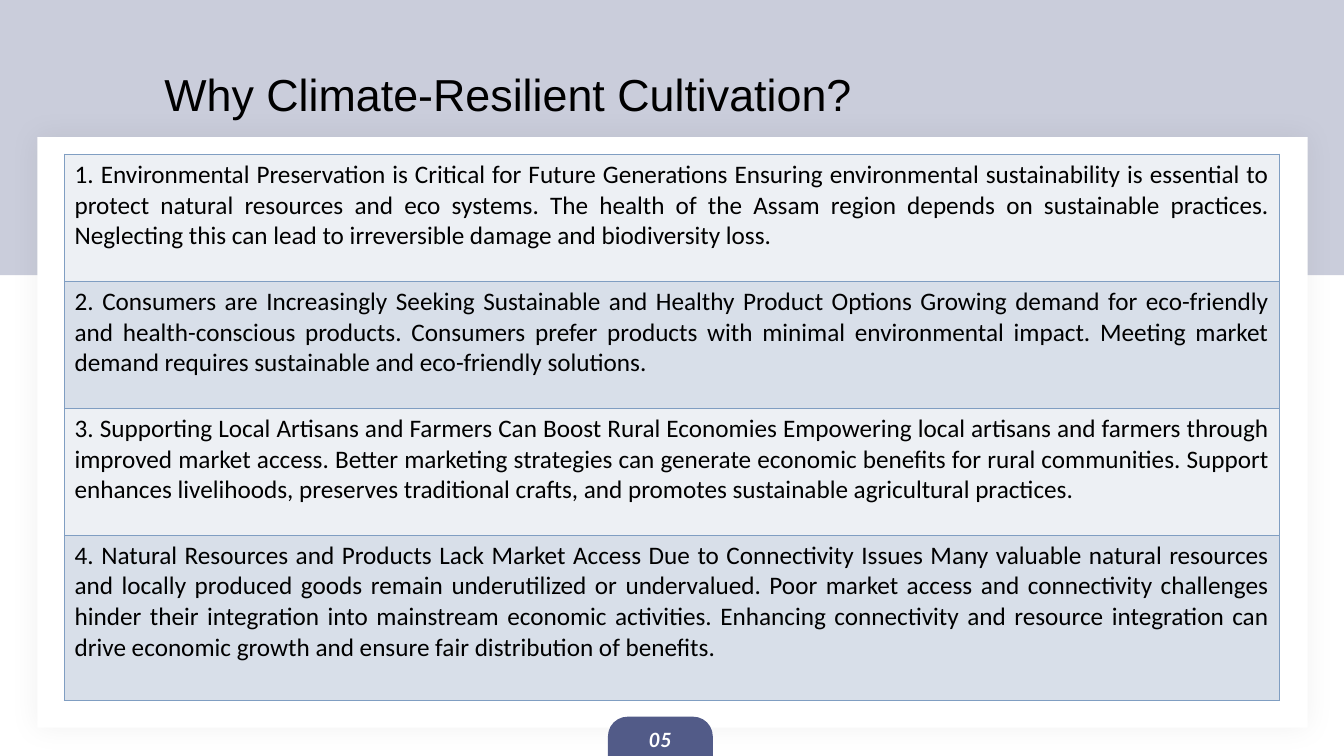
from lxml import etree
from pptx import Presentation
from pptx.dml.color import RGBColor
from pptx.enum.shapes import MSO_SHAPE
from pptx.enum.text import MSO_ANCHOR, PP_ALIGN
from pptx.oxml import parse_xml
from pptx.oxml.ns import nsdecls, qn
from pptx.util import Pt

PX = 9144  # 100 px to the inch
SLIDE_WIDTH, SLIDE_HEIGHT = 1333, 750
RECTANGLE, TAB = MSO_SHAPE.RECTANGLE, MSO_SHAPE.ROUND_2_SAME_RECTANGLE
LEFT, CENTER, JUSTIFY = PP_ALIGN.LEFT, PP_ALIGN.CENTER, PP_ALIGN.JUSTIFY
TOP, MIDDLE = MSO_ANCHOR.TOP, MSO_ANCHOR.MIDDLE

INDIGO = RGBColor(0x52, 0x5B, 0x88)
WHITE = RGBColor(0xFF, 0xFF, 0xFF)
BLACK = RGBColor(0, 0, 0)
ROW_FILLS = (RGBColor(0xED, 0xF0, 0xF4), RGBColor(0xD8, 0xDF, 0xE9))
BORDER = RGBColor(0x80, 0x9E, 0xC2)

ROW_HEIGHTS = (126, 126, 126, 164)
REASONS = (
    "1. Environmental Preservation is Critical for Future Generations Ensuring environmental "
    "sustainability is essential to protect natural resources and eco systems. The health of the "
    "Assam region depends on sustainable practices. Neglecting this can lead to irreversible "
    "damage and biodiversity loss.",
    "2. Consumers are Increasingly Seeking Sustainable and Healthy Product Options Growing demand "
    "for eco-friendly and health-conscious products. Consumers prefer products with minimal "
    "environmental impact. Meeting market demand requires sustainable and eco-friendly solutions.",
    "3. Supporting Local Artisans and Farmers Can Boost Rural Economies Empowering local artisans "
    "and farmers through improved market access. Better marketing strategies can generate economic "
    "benefits for rural communities. Support enhances livelihoods, preserves traditional crafts, "
    "and promotes sustainable agricultural practices.",
    "4. Natural Resources and Products Lack Market Access Due to Connectivity Issues Many valuable "
    "natural resources and locally produced goods remain underutilized or undervalued. Poor market "
    "access and connectivity challenges hinder their integration into mainstream economic "
    "activities. Enhancing connectivity and resource integration can drive economic growth and "
    "ensure fair distribution of benefits.",
)


def px(*lengths):
    return [length * PX for length in lengths]


def add_block(slide, kind, box, color):
    shape = slide.shapes.add_shape(kind, *px(*box))
    shape.shadow.inherit = False
    shape.fill.solid()
    shape.fill.fore_color.rgb = color
    shape.line.fill.background()
    return shape


def set_transparency(shape, opacity):
    color = shape.element.spPr.find(qn("a:solidFill"))[0]
    etree.SubElement(color, qn("a:alpha"), val=str(opacity * 1000))


def set_soft_shadow(shape, blur, opacity):
    effects = shape.element.spPr.find(qn("a:effectLst"))
    effects.append(parse_xml(
        f'<a:outerShdw {nsdecls("a")} blurRad="{Pt(blur)}" dist="0" dir="0" algn="ctr" '
        f'rotWithShape="0"><a:srgbClr val="{BLACK}"><a:alpha val="{opacity * 1000}"/>'
        '</a:srgbClr></a:outerShdw>'))


def write(text_frame, text, font_name, size, color, alignment):
    text_frame.text = text
    paragraph = text_frame.paragraphs[0]
    paragraph.alignment = alignment
    paragraph.font.name = font_name
    paragraph.font.size = Pt(size)
    paragraph.font.color.rgb = color
    return paragraph


def place_title(slide, text, box, behind):
    title = slide.shapes.title
    title.left, title.top, title.width, title.height = px(*box)
    frame = title.text_frame
    frame.margin_left = frame.margin_right = frame.margin_top = frame.margin_bottom = 0
    frame.vertical_anchor = TOP
    frame.word_wrap = True
    write(frame, text, "Arial", 32, BLACK, LEFT)
    behind.element.addnext(title.element)


def set_borders(cell):
    properties = cell._tc.get_or_add_tcPr()
    for index, side in enumerate(("lnL", "lnR", "lnT", "lnB")):
        properties.insert(index, parse_xml(
            f'<a:{side} {nsdecls("a")} w="{Pt(1)}"><a:solidFill><a:srgbClr val="{BORDER}"/>'
            f'</a:solidFill></a:{side}>'))


def add_reasons_table(slide, left, top, width):
    frame = slide.shapes.add_table(
        len(REASONS), 1, *px(left, top, width, sum(ROW_HEIGHTS)))
    table = frame.table
    for index, (reason, height) in enumerate(zip(REASONS, ROW_HEIGHTS)):
        table.rows[index].height = height * PX
        cell = table.cell(index, 0)
        cell.fill.solid()
        cell.fill.fore_color.rgb = ROW_FILLS[index % 2]
        set_borders(cell)
        paragraph = write(cell.text_frame, reason, "Calibri", 18, BLACK, JUSTIFY)
        paragraph.font.bold = False


def add_page_tab(slide, number, box):
    tab = add_block(slide, TAB, box, INDIGO)
    tab.adjustments[0] = 0.5
    tab.text_frame.vertical_anchor = MIDDLE
    paragraph = write(tab.text_frame, number, "Lato", 14, WHITE, CENTER)
    paragraph.font.bold = paragraph.font.italic = True


def main():
    presentation = Presentation()
    presentation.slide_width, presentation.slide_height = px(SLIDE_WIDTH, SLIDE_HEIGHT)
    slide = presentation.slides.add_slide(presentation.slide_layouts.get_by_name("Title Only"))

    # Header band and white card
    band = add_block(slide, RECTANGLE, (-2, 0, 1335, 273), INDIGO)
    set_transparency(band, 30)
    card = add_block(slide, RECTANGLE, (37, 136, 1260, 586), WHITE)
    set_soft_shadow(card, 20, 5)

    # Title, reasons and page number
    place_title(slide, "Why Climate-Resilient Cultivation?", (163, 66, 873, 54), card)
    add_reasons_table(slide, 64, 153, 1205)
    add_page_tab(slide, "05", (603, 711, 104, 39))

    presentation.save("out.pptx")


if __name__ == "__main__":
    main()
